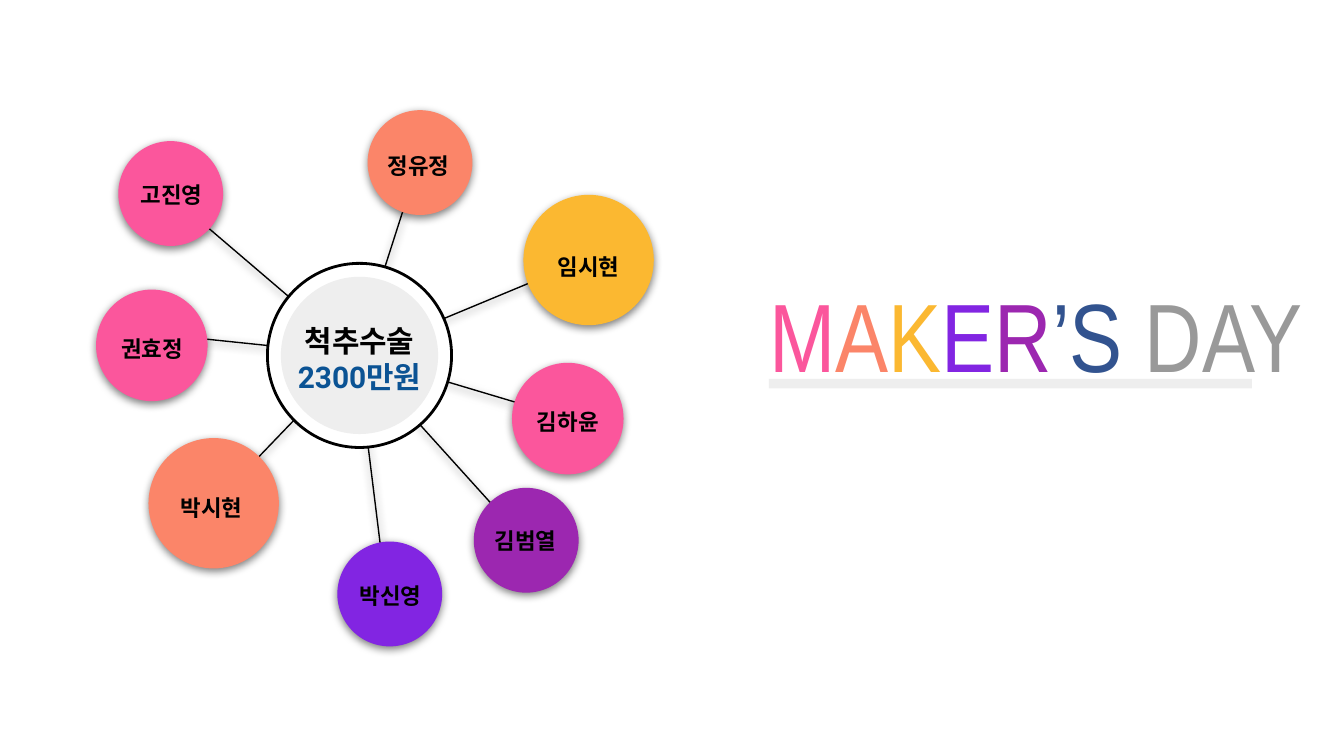
from lxml import etree
from pptx import Presentation, util as u
from pptx.dml.color import RGBColor
from pptx.enum import shapes, text
from pptx.oxml.ns import qn

PX = 4572  # EMU in one px, 200 px to the inch
PINK, CORAL, GOLD = "FB569C", "FB8569", "FBB831"
VIOLET, PURPLE, NAVY = "8225E2", "9C27B0", "32538F"
BLACK, WHITE, PALE, GREY, BLUE = "000000", "FFFFFF", "EEEEEE", "999999", "0B5394"


def px(*vals):
    return [u.Emu(v * PX) for v in vals]


def rgb(code):
    return RGBColor.from_string(code)


class Board:
    face = "Roboto"

    def __init__(self, wide, high):
        self.deck = Presentation()
        self.deck.slide_width, self.deck.slide_height = px(wide, high)
        self.slide = self.deck.slides.add_slide(self.deck.slide_layouts[5])

    def shade(self, item):
        props = item._element.spPr
        fx = props.find(qn("a:effectLst"))
        if fx is None:
            fx = etree.SubElement(props, qn("a:effectLst"))
        cast = etree.SubElement(fx, qn("a:outerShdw"), blurRad="57150", dist="19050",
                                dir="5400000", algn="bl", rotWithShape="0")
        tint = etree.SubElement(cast, qn("a:srgbClr"), val=BLACK)
        etree.SubElement(tint, qn("a:alpha"), val="50000")

    def runs(self, para, parts):
        for words, color in parts:
            run = para.add_run()
            run.text = words
            run.font.color.rgb = rgb(color)

    def frame(self, item, anchor):
        body = item.text_frame
        body.word_wrap = True
        body.auto_size = text.MSO_AUTO_SIZE.NONE
        body.vertical_anchor = anchor
        body.margin_left = body.margin_right = px(20)[0]
        body.margin_top = body.margin_bottom = px(20)[0]
        return body.paragraphs[0]

    def title(self, box, parts):
        item = self.slide.shapes.title
        item.left, item.top, item.width, item.height = px(*box)
        para = self.frame(item, text.MSO_ANCHOR.MIDDLE)
        para.alignment = text.PP_ALIGN.LEFT
        para.font.name, para.font.size = "Arial Narrow", u.Pt(52)
        self.runs(para, parts)

    def label(self, box, parts, size=12):
        item = self.slide.shapes.add_textbox(*px(*box))
        para = self.frame(item, text.MSO_ANCHOR.TOP)
        para.alignment = text.PP_ALIGN.CENTER
        para.font.name, para.font.size, para.font.bold = self.face, u.Pt(size), True
        self.runs(para, parts)

    def shape(self, kind, box, fill, line=None):
        item = self.slide.shapes.add_shape(kind, *px(*box))
        item.shadow.inherit = False
        item.fill.solid()
        item.fill.fore_color.rgb = rgb(fill)
        if line:
            item.line.color.rgb = rgb(line)
            item.line.width = u.Pt(1.5)
        else:
            item.line.fill.background()
        return item

    def disc(self, x, y, size, fill, line=None):
        return self.shape(shapes.MSO_SHAPE.OVAL, (x, y, size, size), fill, line)

    def spoke(self, start, end):
        item = self.slide.shapes.add_connector(
            shapes.MSO_CONNECTOR.STRAIGHT, *px(*start, *end))
        item.line.color.rgb = rgb(BLACK)
        item.line.width = u.Pt(0.75)
        self.shade(item)


def main():
    board = Board(2000, 1125)

    # Title
    board.title((1125, 260, 840, 474), [
        ("M", PINK), ("A", CORAL), ("K", GOLD), ("E", VIOLET),
        ("R", PURPLE), ("’S ", NAVY), ("DAY", GREY)])

    # Name, fill, disc (left, top, size), spoke start, label (left, top, width)
    nodes = [
        ("임시현", GOLD, (779, 290, 194), (882, 382), (795, 356, 162)),
        ("박시현", CORAL, (221, 652, 194), (314, 754), (234, 716, 162)),
        ("정유정", CORAL, (547, 164, 156), (622, 244), (542, 206, 162)),
        ("고진영", PINK, (176, 210, 156), (250, 288), (174, 250, 162)),
        ("김범열", PURPLE, (705, 726, 156), (784, 808), (701, 765, 162)),
        ("박신영", VIOLET, (502, 806, 156), (576, 892), (500, 846, 162)),
        ("권효정", PINK, (143, 431, 166), (262, 500), (145, 479, 162)),
        ("김하윤", PINK, (762, 540, 166), (812, 612), (760, 588, 170)),
    ]

    # Spokes and outer discs
    for _, fill, disc, start, _ in nodes:
        board.spoke(start, (531, 528))
        board.shade(board.disc(*disc, fill))

    # Hub
    board.disc(398, 392, 274, WHITE, BLACK)
    board.disc(418, 412, 234, PALE)
    board.label((408, 460, 254, 118), [("척추수술 ", BLACK), ("2300만원", BLUE)], 16)

    # Names
    for name, _, _, _, (left, top, wide) in nodes:
        board.label((left, top, wide, 70), [(name, BLACK)])

    # Rule under the title
    board.shape(shapes.MSO_SHAPE.RECTANGLE, (1144, 564, 719, 14), PALE)

    board.deck.save("out.pptx")


if __name__ == "__main__":
    main()
